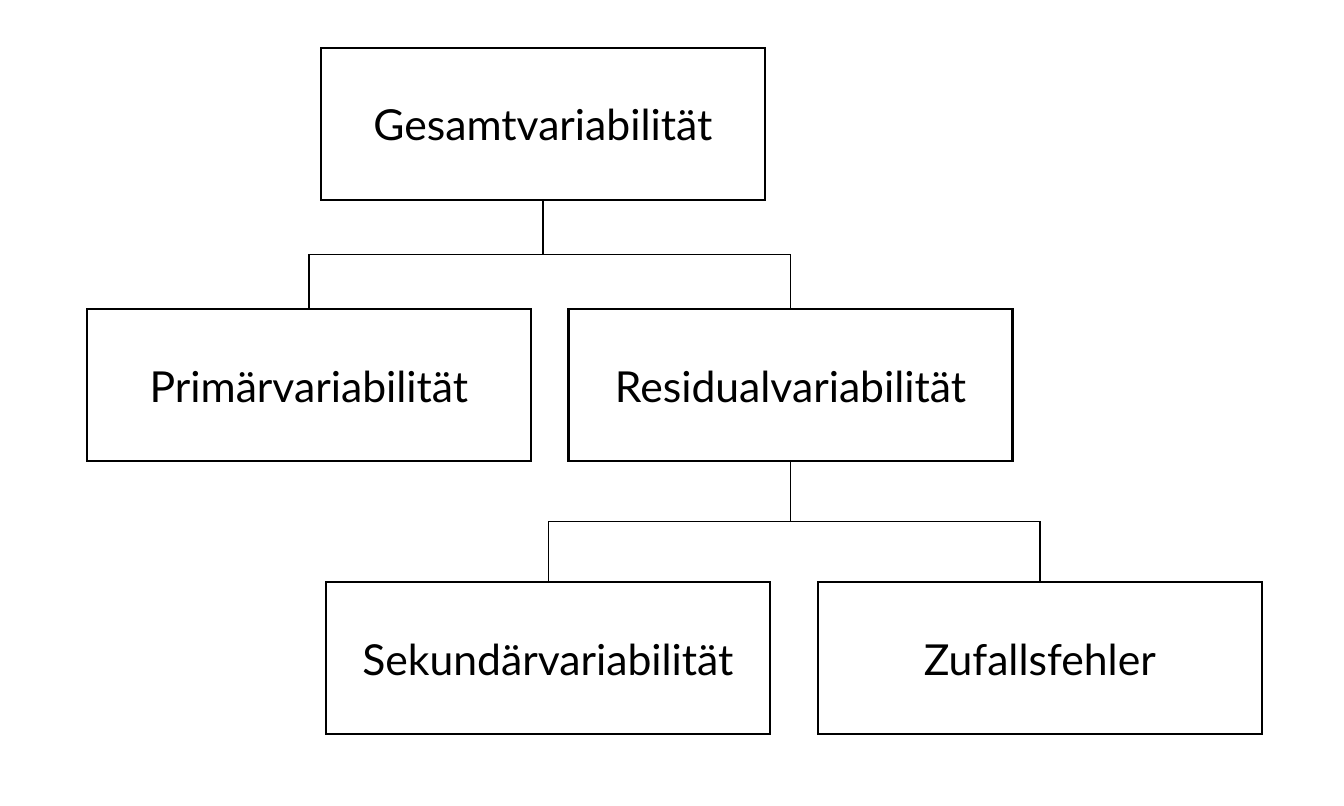
from dataclasses import dataclass

from lxml import etree
from pptx import Presentation, util as u
from pptx.dml.color import RGBColor
from pptx.enum import shapes, text
from pptx.oxml import ns
from pptx.shapes.autoshape import Shape
from pptx.shapes.connector import Connector
from pptx.slide import Slide


@dataclass(frozen=True)
class Theme:
    ink: RGBColor = RGBColor(0, 0, 0)
    paper: RGBColor = RGBColor(255, 255, 255)
    font: str = "Lato"
    size: u.Pt = u.Pt(18)
    edge: u.Pt = u.Pt(1)
    link: u.Pt = u.Pt(0.5)


@dataclass(frozen=True)
class Node:
    label: str
    left: float
    row: int
    parent: str = ""


THEME = Theme()
WIDTH, HEIGHT = 2.6, 0.89
TOPS = (0.28, 1.81, 3.41)
BOTTOM, TOP = 2, 0  # connection sites of a rectangle

NODES = (
    Node("Gesamtvariabilität", 1.88, 0),
    Node("Primärvariabilität", 0.51, 1, "Gesamtvariabilität"),
    Node("Residualvariabilität", 3.33, 1, "Gesamtvariabilität"),
    Node("Sekundärvariabilität", 1.91, 2, "Residualvariabilität"),
    Node("Zufallsfehler", 4.79, 2, "Residualvariabilität"),
)


def style(item: object, values: dict[str, object]) -> None:
    for name, value in values.items():
        setattr(item, name, value)


def draw_line(shape: Shape | Connector, width: u.Pt) -> None:
    """Give a shape a plain line with sharp corners."""
    shape.line.color.rgb = THEME.ink
    shape.line.width = width
    edge = shape._element.spPr.find(ns.qn("a:ln"))
    etree.SubElement(edge, ns.qn("a:miter"), lim="800000")


def draw_box(slide: Slide, node: Node) -> Shape:
    frame = (node.left, TOPS[node.row], WIDTH, HEIGHT)
    box = slide.shapes.add_shape(
        shapes.MSO_SHAPE.RECTANGLE, *(u.Inches(n) for n in frame)
    )
    box.shadow.inherit = False
    box.fill.solid()
    box.fill.fore_color.rgb = THEME.paper
    draw_line(box, THEME.edge)
    body = box.text_frame
    style(body, {"word_wrap": True, "vertical_anchor": text.MSO_ANCHOR.MIDDLE})
    body.text = node.label
    para = body.paragraphs[0]
    para.alignment = text.PP_ALIGN.CENTER
    style(para.font, {"name": THEME.font, "size": THEME.size})
    para.font.color.rgb = THEME.ink
    return box


def draw_link(slide: Slide, upper: Shape, lower: Shape) -> None:
    """Join two boxes by an elbow that leaves and arrives vertically."""
    start = upper.left + upper.width // 2
    end = lower.left + lower.width // 2
    base = upper.top + upper.height
    link = slide.shapes.add_connector(
        shapes.MSO_CONNECTOR.ELBOW, start, base, end, lower.top
    )
    link.begin_connect(upper, BOTTOM)
    link.end_connect(lower, TOP)

    # A vertical elbow is a horizontal one turned about its centre.
    drop, span = lower.top - base, abs(end - start)
    style(link, {
        "left": (start + end - drop) // 2,
        "top": (base + lower.top - span) // 2,
        "width": drop,
        "height": span,
    })
    right = end > start
    xfrm = link._element.spPr.xfrm
    xfrm.set("rot", str((270 if right else 90) * 60000))
    xfrm.set("flipH", "1" if right else "0")

    draw_line(link, THEME.link)
    etree.SubElement(link._element.spPr, ns.qn("a:effectLst"))


def main() -> None:
    deck = Presentation()
    style(deck, {"slide_width": u.Inches(7.87), "slide_height": u.Inches(4.72)})
    slide = deck.slides.add_slide(deck.slide_layouts.get_by_name("Blank"))
    boxes = {node.label: draw_box(slide, node) for node in NODES}
    for node in NODES:
        if node.parent:
            draw_link(slide, boxes[node.parent], boxes[node.label])
    deck.save("out.pptx")


if __name__ == "__main__":
    main()
